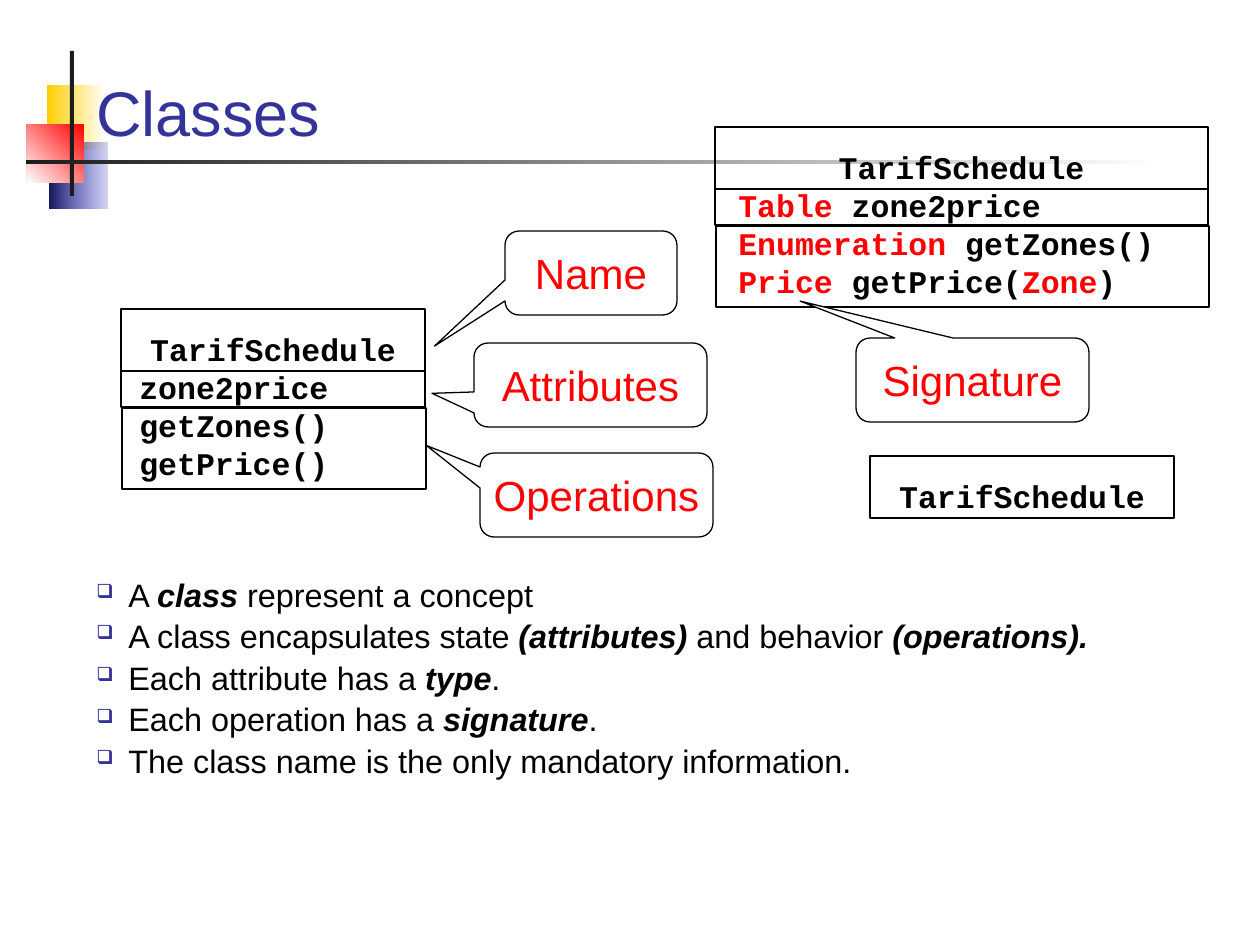
from dataclasses import dataclass

import pptx
import pptx.dml.color
import pptx.enum.shapes
import pptx.enum.text
import pptx.oxml
import pptx.oxml.ns
import pptx.util

RGB = pptx.dml.color.RGBColor.from_string
SHAPE = pptx.enum.shapes.MSO_SHAPE
ALIGN = pptx.enum.text.PP_ALIGN
ANCHOR = pptx.enum.text.MSO_ANCHOR
SCALE = 914400 / 126


def px(num):
    return pptx.util.Emu(round(num * SCALE))


@dataclass
class Theme:
    ink: str = "000000"
    red: str = "FF0000"
    title: str = "333399"
    paper: str = "FFFFFF"
    gold: str = "FFCF01"
    navy: str = "17175E"
    blue: str = "3333CC"
    bar: str = "1C1C1C"
    sans: str = "Arial"
    mono: str = "Courier New"
    head: float = 36
    call: float = 24
    body: float = 18.5
    code: float = 18


@dataclass
class Deck:
    """Draws the elements of one slide in a shared style."""
    theme: Theme
    slide: object

    def shape(self, box, kind=SHAPE.RECTANGLE, fill=None, line=None):
        item = self.slide.shapes.add_shape(kind, *map(px, box))
        item.shadow.inherit = False
        if fill:
            item.fill.solid()
            item.fill.fore_color.rgb = RGB(fill)
        else:
            item.fill.background()
        if line:
            item.line.color.rgb = RGB(self.theme.ink)
            item.line.width = pptx.util.Pt(line)
        else:
            item.line.fill.background()
        return item

    def fade(self, box, start, end, angle=0, alpha=None):
        item = self.shape(box)
        item.fill.gradient()
        item.fill.gradient_angle = angle
        for stop, tone in zip(item.fill.gradient_stops, (start, end)):
            stop.color.rgb = RGB(tone)
        if alpha:
            last = item._element.spPr.findall(
                ".//" + pptx.oxml.ns.qn("a:srgbClr"))[-1]
            last.append(pptx.oxml.parse_xml(
                f'<a:alpha {pptx.oxml.ns.nsdecls("a")} val="{alpha * 1000}"/>'))

    def font(self, para, size, face, tone, bold=None):
        para.font.size = pptx.util.Pt(size)
        para.font.name = face
        para.font.bold = bold
        if tone:
            para.font.color.rgb = RGB(tone)

    def runs(self, para, text):
        for num, piece in enumerate(text.split("*")):
            if piece:
                run = para.add_run()
                run.text = piece
                yield run, num % 2 == 1

    def frame(self, box, wrap=True, inset=True):
        frame = self.slide.shapes.add_textbox(*map(px, box)).text_frame
        frame.word_wrap = wrap
        if not inset:
            frame.margin_left = frame.margin_right = 0
            frame.margin_top = frame.margin_bottom = 0
        return frame

    def paras(self, frame, lines):
        for num, line in enumerate(lines):
            yield (frame.add_paragraph() if num else frame.paragraphs[0]), line

    def title(self, box, text):
        frame = self.frame(box)
        frame.vertical_anchor = ANCHOR.BOTTOM
        frame.text = text
        self.font(frame.paragraphs[0], self.theme.head, self.theme.sans,
                  self.theme.title)

    def bullet(self, para):
        props = para._p.get_or_add_pPr()
        props.set("marL", str(px(32)))
        props.set("indent", str(-px(32)))
        tone = f'<a:srgbClr val="{self.theme.title}"/>'
        for mark in (f"<a:buClr {{}}>{tone}</a:buClr>",
                     '<a:buSzPct {} val="60000"/>',
                     '<a:buChar {} char="❑"/>'):
            props.append(pptx.oxml.parse_xml(
                mark.format(pptx.oxml.ns.nsdecls("a"))))

    def points(self, box, lines):
        frame = self.frame(box)
        for num, (para, line) in enumerate(self.paras(frame, lines)):
            self.bullet(para)
            para.line_spacing = 0.8
            para.space_before = pptx.util.Pt(6 if num else 0)
            self.font(para, self.theme.body, self.theme.sans, self.theme.ink)
            for run, strong in self.runs(para, line):
                if strong:
                    run.font.bold = run.font.italic = True

    def rows(self, box, lines):
        for para, line in self.paras(self.frame(box), lines):
            mixed = "*" in line
            self.font(para, self.theme.code, self.theme.mono,
                      None if mixed else self.theme.ink, True)
            for run, typed in self.runs(para, line):
                if mixed:
                    run.font.color.rgb = RGB(
                        self.theme.red if typed else self.theme.ink)

    def card(self, left, top, wide, name, lines=(), pad=6):
        if lines:
            self.rows((left + pad, top + 53, wide - 2, 126), lines)
            self.shape((left, top + 62, wide, 36), line=1.25)
            self.shape((left + 1, top + 99, wide, 81), line=1.25)
        self.shape((left, top, wide, 62), line=1.25)
        frame = self.frame((left + (wide - 246) / 2, top + 21, 246, 38),
                           False, False)
        frame.text = name
        para = frame.paragraphs[0]
        para.alignment = ALIGN.CENTER
        self.font(para, self.theme.code, self.theme.mono, self.theme.ink, True)

    def callout(self, box, text, tip):
        item = self.shape(box, SHAPE.ROUNDED_RECTANGULAR_CALLOUT,
                          self.theme.paper, 0.75)
        item.adjustments[0], item.adjustments[1] = tip
        frame = item.text_frame
        frame.word_wrap = False
        frame.vertical_anchor = ANCHOR.MIDDLE
        frame.text = text
        para = frame.paragraphs[0]
        para.alignment = ALIGN.CENTER
        self.font(para, self.theme.call, self.theme.sans, self.theme.red)


def main():
    show = pptx.Presentation()
    show.slide_width, show.slide_height = px(1260), px(945)
    theme = Theme()
    deck = Deck(theme, show.slides.add_slide(show.slide_layouts[6]))
    deck.fade((47, 85, 59, 65), theme.gold, theme.paper)
    deck.fade((49, 143, 58, 66), theme.navy, theme.blue, alpha=20)
    deck.fade((27, 124, 57, 59), theme.red, theme.paper, angle=225)
    deck.shape((70, 51, 4, 145), fill=theme.bar)
    deck.fade((26, 160, 1134, 4), theme.bar, theme.paper)
    deck.title((84, 35, 1091, 120), "Classes")
    deck.points((84, 576, 1091, 228), (
        "A *class* represent a concept",
        "A class encapsulates state *(attributes)* and behavior *(operations).*",
        "Each attribute has a *type*.",
        "Each operation has a *signature*.",
        "The class name is the only mandatory information."))
    name = "TarifSchedule"
    deck.card(121, 309, 304, name, ("zone2price", "getZones()", "getPrice()"))
    deck.card(715, 127, 493, name, (
        "*Table* zone2price",
        "*Enumeration* getZones()",
        "*Price* getPrice(*Zone*)"), pad=11)
    for box, text, tip in (
            ((505, 231, 172, 84), "Name", (-0.91, 0.87)),
            ((474, 343, 233, 84), "Attributes", (-0.68, 0.1)),
            ((480, 453, 233, 84), "Operations", (-0.73, -0.59)),
            ((856, 338, 233, 84), "Signature", (-0.74, -0.94))):
        deck.callout(box, text, tip)
    deck.card(870, 456, 304, name)
    show.save("out.pptx")


if __name__ == "__main__":
    main()
